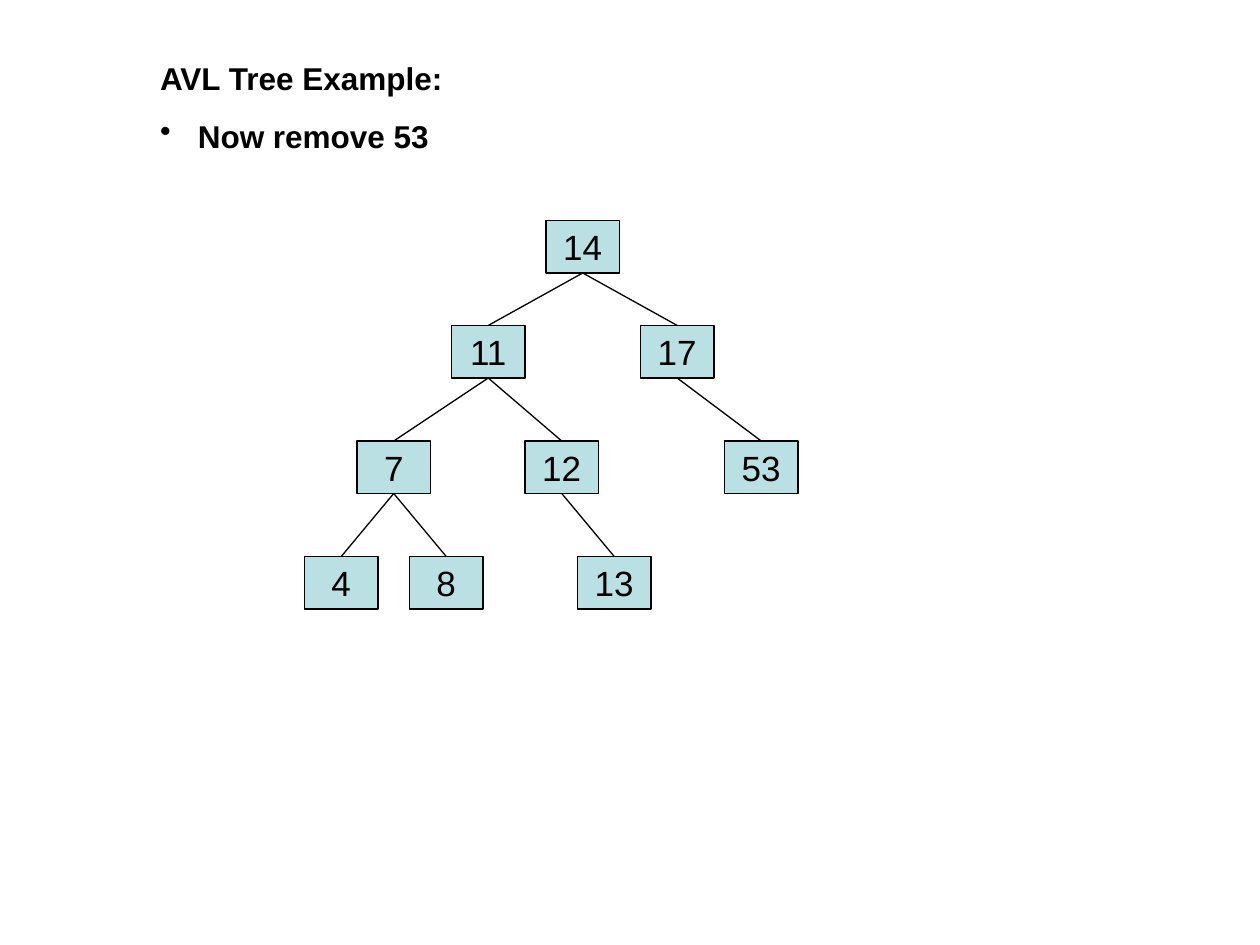
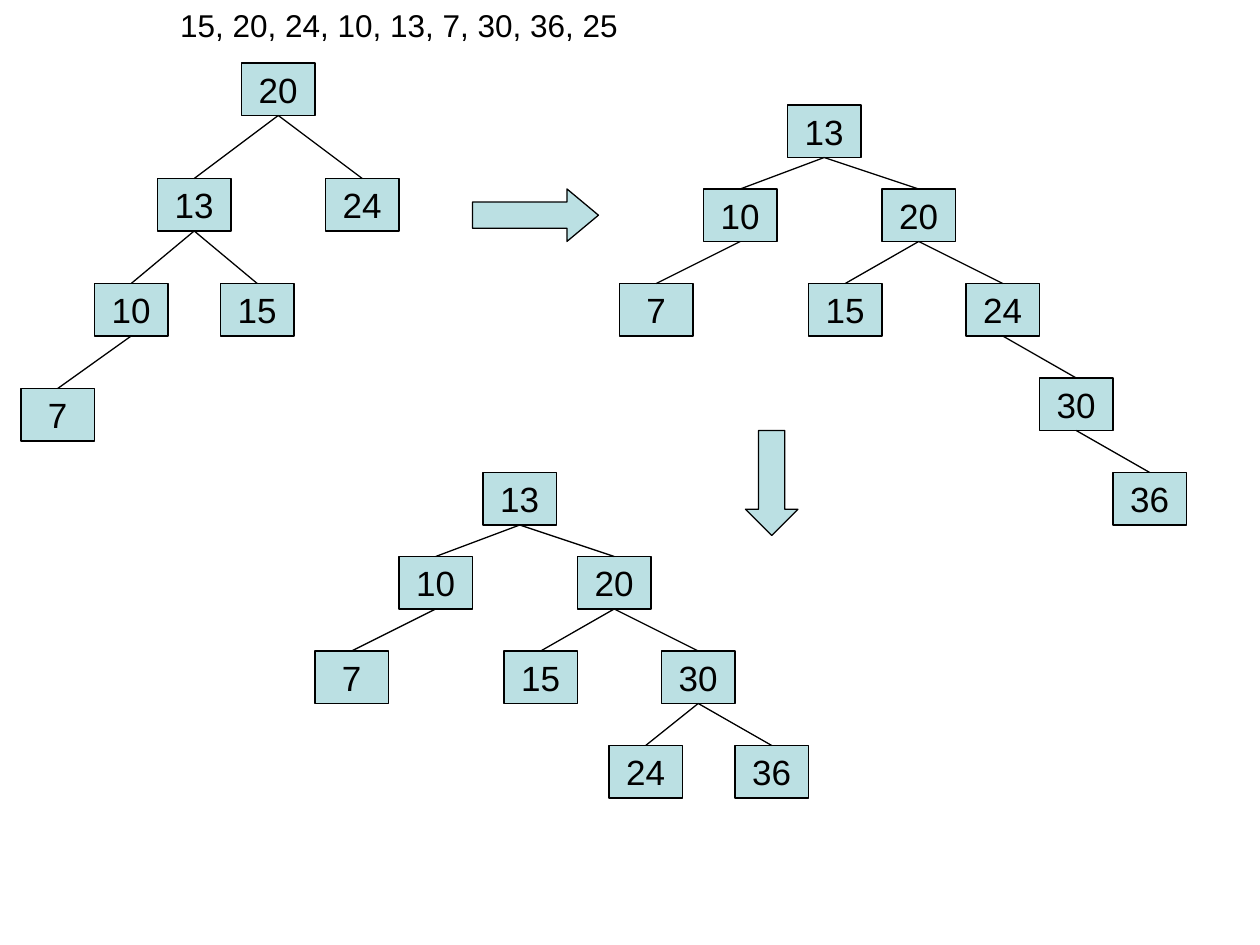
import dataclasses

import pptx
import pptx.dml.color
import pptx.enum.shapes
import pptx.enum.text
import pptx.oxml.ns
import pptx.util
from lxml import etree
from pptx.util import Inches

SHAPE = pptx.enum.shapes.MSO_SHAPE
ALIGN = pptx.enum.text.PP_ALIGN
ANCHOR = pptx.enum.text.MSO_ANCHOR


@dataclasses.dataclass(frozen=True)
class Theme:
    """Colours, type and line sizes shared by the slides."""
    ink: pptx.dml.color.RGBColor = pptx.dml.color.RGBColor(0, 0, 0)
    node: pptx.dml.color.RGBColor = pptx.dml.color.RGBColor(0xBB, 0xE0, 0xE3)
    font: str = "Arial"
    heading: pptx.util.Pt = pptx.util.Pt(18)
    label: pptx.util.Pt = pptx.util.Pt(20)
    line: pptx.util.Pt = pptx.util.Pt(0.75)


THEME = Theme()
NODE_W, NODE_H = 7, 5


def grid(n):
    """Return n steps of the twelfth-inch drawing grid as a length."""
    return Inches(n / 12)


def style_font(p, size, bold=False):
    """Set the theme font on a whole paragraph."""
    p.font.name, p.font.size, p.font.bold = THEME.font, size, bold
    p.font.color.rgb = THEME.ink


def style_line(line):
    """Give an outline or connector the theme line."""
    line.color.rgb, line.width = THEME.ink, THEME.line


def add_heading(s, box, lines, bold=False, space=0, indent=0):
    """Fill the title with a heading line and bulleted lines below it."""
    sp = s.shapes.title
    sp.left, sp.top, sp.width, sp.height = map(Inches, box)
    tf = sp.text_frame
    tf.word_wrap, tf.vertical_anchor = True, ANCHOR.TOP
    tf.auto_size = pptx.enum.text.MSO_AUTO_SIZE.NONE
    tf.text = "\n".join(lines)
    for i, p in enumerate(tf.paragraphs):
        p.alignment, p.space_before = ALIGN.LEFT, pptx.util.Pt(space)
        style_font(p, THEME.heading, bold)
        pPr = p._p.get_or_add_pPr()
        pPr.set("marL", str(Inches(0.3 if i else indent)))
        pPr.set("indent", str(Inches(-0.3 if i else 0)))
        if i:
            bullet = etree.Element(pptx.oxml.ns.qn("a:buChar"), char="•")
            pPr.insert_element_before(bullet, "a:tabLst", "a:defRPr", "a:extLst")


def add_block(s, kind, x, y, w, h):
    """Add a filled, outlined shape at grid coordinates."""
    sp = s.shapes.add_shape(kind, grid(x), grid(y), grid(w), grid(h))
    sp.shadow.inherit = False
    sp.fill.solid()
    sp.fill.fore_color.rgb = THEME.node
    style_line(sp.line)
    return sp


def add_arrow(s, kind, box, head):
    """Add a block arrow whose head length is relative to its thickness."""
    sp = add_block(s, kind, *box)
    sp.adjustments[0], sp.adjustments[1] = 0.5, head


def add_node(s, x, y, value):
    """Add one labelled tree node."""
    sp = add_block(s, SHAPE.RECTANGLE, x, y, NODE_W, NODE_H)
    tf = sp.text_frame
    tf.word_wrap, tf.vertical_anchor = False, ANCHOR.MIDDLE
    p = tf.paragraphs[0]
    p.text, p.alignment = str(value), ALIGN.CENTER
    style_font(p, THEME.label)
    return sp


def add_edge(s, parent, child):
    """Connect the bottom of a parent to the top of its child."""
    cx = s.shapes.add_connector(pptx.enum.shapes.MSO_CONNECTOR.STRAIGHT, 0, 0, 0, 0)
    cx.begin_connect(parent, 2)
    cx.end_connect(child, 0)
    style_line(cx.line)
    etree.SubElement(cx._element.spPr, pptx.oxml.ns.qn("a:effectLst"))


def add_tree(s, x, y, tree, drops):
    """Draw (value, x offset from parent, *children) with one drop per level."""
    value, dx, *children = tree
    sp = add_node(s, x + dx, y, value)
    for child in children:
        add_edge(s, sp, add_tree(s, x + dx, y + drops[0], child, drops[1:]))
    return sp


def rooted_at_13(right):
    """Return the rotated tree with the given right branch under 20."""
    return (13, 0, (10, -8, (7, -8)), (20, 9, (15, -7), right))


def removal_slide(prs):
    """Build the slide that removes a value from an AVL tree."""
    s = prs.slides.add_slide(prs.slide_layouts[5])
    add_heading(s, (1.17, 0.42, 7.83, 0.86),
                ["AVL Tree Example:", "Now remove 53"], bold=True, space=11.2)
    tree = (14, 0,
            (11, -9, (7, -9, (4, -5), (8, 5)), (12, 7, (13, 5))),
            (17, 9, (53, 8)))
    add_tree(s, 52, 21, tree, (10, 11, 11))


def insertion_slide(prs):
    """Build the slide that follows the insertions through rotations."""
    s = prs.slides.add_slide(prs.slide_layouts[5])
    add_heading(s, (0.83, 0, 8.17, 0.4),
                ["15, 20, 24, 10, 13, 7, 30, 36, 25"], space=4.5, indent=0.5)
    start = (20, 0, (13, -8, (10, -6, (7, -7)), (15, 6)), (24, 8))
    add_tree(s, 23, 6, start, (11, 10, 10))
    add_arrow(s, SHAPE.RIGHT_ARROW, (45, 18, 12, 5), 0.6)
    add_tree(s, 75, 10, rooted_at_13((24, 8, (30, 7, (36, 7)))), (8, 9, 9, 9))
    add_arrow(s, SHAPE.DOWN_ARROW, (71, 41, 5, 10), 0.5)
    add_tree(s, 46, 45, rooted_at_13((30, 8, (24, -5), (36, 7))), (8, 9, 9))


prs = pptx.Presentation()
prs.slide_width, prs.slide_height = Inches(10), Inches(7.5)
removal_slide(prs)
insertion_slide(prs)
prs.save("out.pptx")
